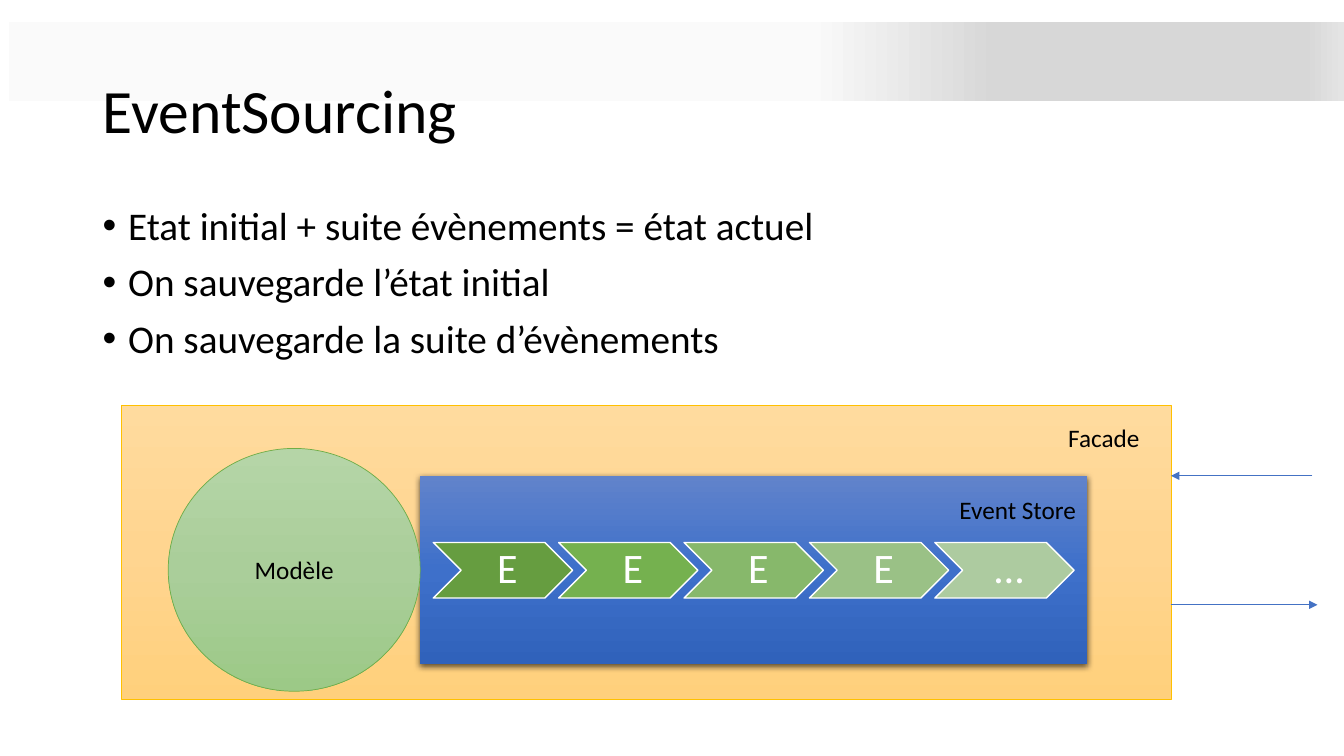
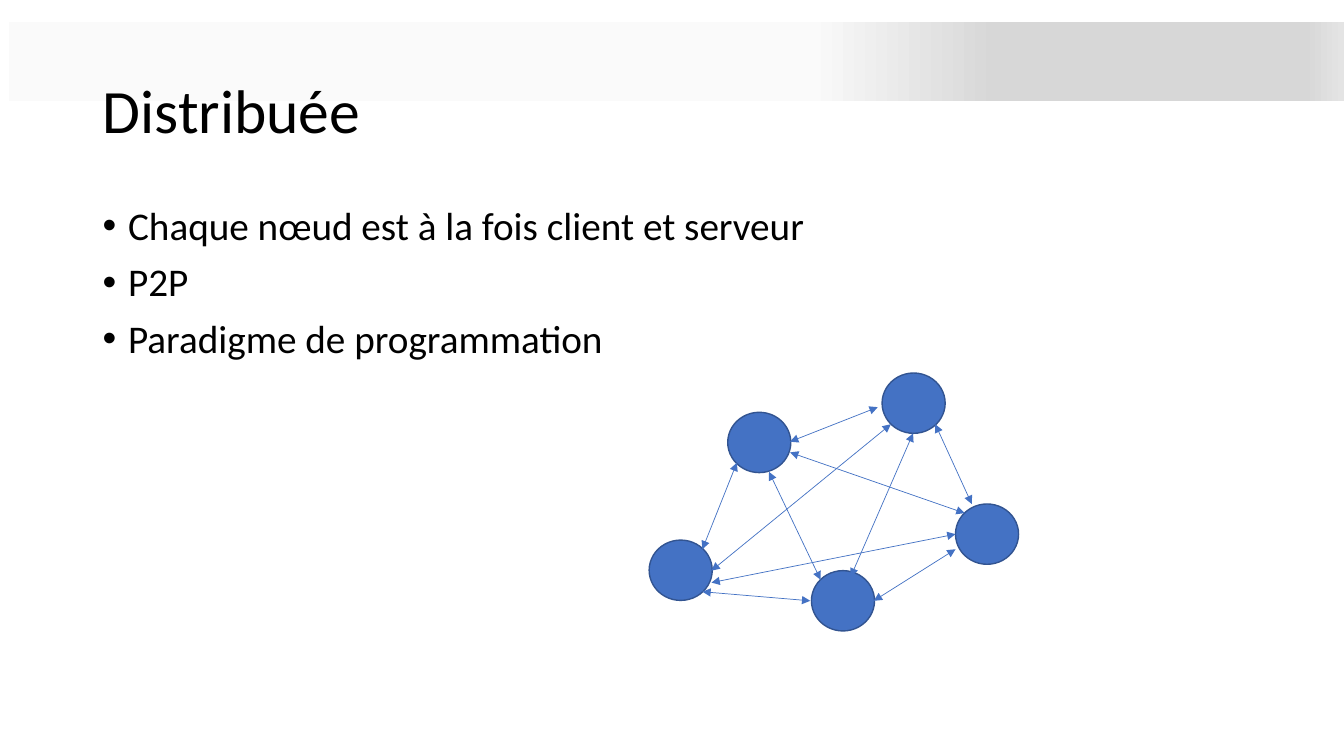
from lxml.etree import SubElement
from pptx import Presentation
from pptx.dml.color import RGBColor
from pptx.enum.shapes import MSO_CONNECTOR as Connector, MSO_SHAPE as Shape
from pptx.enum.text import MSO_ANCHOR as Anchor, PP_ALIGN as Align
from pptx.oxml.ns import qn
from pptx.util import Cm, Pt

FONT = "Calibri"
BLACK = RGBColor(0x00, 0x00, 0x00)
WHITE = RGBColor(0xFF, 0xFF, 0xFF)
BLUE = RGBColor(0x44, 0x72, 0xC4)
DARK_BLUE = RGBColor(0x32, 0x54, 0x91)
GOLD = RGBColor(0xFF, 0xC0, 0x00)
GREEN = RGBColor(0x70, 0xAD, 0x47)
PALE_GREY = RGBColor(0xFA, 0xFA, 0xFA)
MID_GREY = RGBColor(0xD7, 0xD7, 0xD7)
LIGHT_GREY = RGBColor(0xE4, 0xE4, 0xE4)

BAND_STOPS = [(60, PALE_GREY), (74, MID_GREY), (97, MID_GREY), (100, LIGHT_GREY)]
FACADE_STOPS = [
    (0, RGBColor(0xFF, 0xDB, 0x9E)),
    (50, RGBColor(0xFF, 0xD5, 0x90)),
    (100, RGBColor(0xFF, 0xD0, 0x7C)),
]
STORE_STOPS = [
    (0, RGBColor(0x61, 0x83, 0xCB)),
    (50, RGBColor(0x3E, 0x70, 0xCA)),
    (100, RGBColor(0x30, 0x62, 0xBB)),
]
MODEL_STOPS = [
    (0, RGBColor(0xB5, 0xD5, 0xA7)),
    (50, RGBColor(0xAA, 0xCE, 0x9A)),
    (100, RGBColor(0x9C, 0xC9, 0x87)),
]

SOURCING_TITLE = "EventSourcing"
SOURCING_POINTS = [
    "Etat initial + suite évènements = état actuel",
    "On sauvegarde l’état initial",
    "On sauvegarde la suite d’évènements",
]
EVENTS = [
    ("E", RGBColor(0x66, 0x9D, 0x40)),
    ("E", RGBColor(0x75, 0xB1, 0x4F)),
    ("E", RGBColor(0x87, 0xB8, 0x6B)),
    ("E", RGBColor(0x9A, 0xC1, 0x86)),
    ("…", RGBColor(0xAD, 0xCB, 0xA0)),
]
EVENT_LEFT, EVENT_TOP, EVENT_PITCH = 10.92, 13.67, 3.16
LABELS = [
    ("Event Store", (23.93, 12.32, 3.48, 1.02)),
    ("Facade", (26.67, 10.52, 2.34, 1.02)),
]
FACADE_ARROWS = [((33.07, 11.99), (29.51, 11.99)), ((29.51, 15.24), (33.2, 15.24))]

NETWORK_TITLE = "Distribuée"
NETWORK_POINTS = [
    "Chaque nœud est à la fois client et serveur",
    "P2P",
    "Paradigme de programmation",
]
NODE_SIZE = (1.59, 1.52)
NODES = [(18.34, 10.39), (22.23, 9.4), (24.08, 12.7), (20.45, 14.38), (16.36, 13.61)]
LINKS = [
    ((19.91, 11.13), (22.12, 10.26)),
    ((23.57, 10.69), (24.49, 12.7)),
    ((18.57, 11.66), (17.7, 13.84)),
    ((17.7, 14.91), (20.42, 15.14)),
    ((22.02, 15.14), (24.08, 13.84)),
    ((23.01, 10.92), (21.44, 14.53)),
    ((19.38, 11.89), (20.68, 14.61)),
    ((17.93, 14.38), (22.45, 10.69)),
    ((17.93, 14.68), (24.08, 13.46)),
    ((24.31, 12.93), (19.91, 11.4)),
]


def set_font(paragraph, size, color=BLACK):
    font = paragraph.font
    font.name, font.size = FONT, Pt(size)
    font.color.rgb = color


def set_gradient(shape, stops, angle):
    shape.fill.gradient()
    gradient = shape.element.spPr.find(qn("a:gradFill"))
    gradient.find(qn("a:lin")).set("ang", str(angle * 60000))
    stop_list = gradient.find(qn("a:gsLst"))
    for old_stop in list(stop_list):
        stop_list.remove(old_stop)
    for position, color in stops:
        stop = SubElement(stop_list, qn("a:gs"), pos=str(position * 1000))
        SubElement(stop, qn("a:srgbClr"), val=str(color))


def add_figure(slide, kind, box, fill, line=None, width=0.5, angle=90):
    figure = slide.shapes.add_shape(kind, *map(Cm, box))
    figure.shadow.inherit = False
    if isinstance(fill, RGBColor):
        figure.fill.solid()
        figure.fill.fore_color.rgb = fill
    else:
        set_gradient(figure, fill, angle)
    if line is None:
        figure.line.fill.background()
    else:
        figure.line.color.rgb = line
        figure.line.width = Pt(width)
    return figure


def cast_shadow(shape):
    effects = shape.element.spPr.find(qn("a:effectLst"))
    shadow = SubElement(effects, qn("a:outerShdw"), blurRad=str(Pt(4.5)),
                        dist=str(Pt(1.5)), dir="5400000", algn="ctr", rotWithShape="0")
    color = SubElement(shadow, qn("a:srgbClr"), val=str(BLACK))
    SubElement(color, qn("a:alpha"), val="63000")


def write_centred(shape, text, size, color=BLACK):
    frame = shape.text_frame
    frame.vertical_anchor = Anchor.MIDDLE
    paragraph = frame.paragraphs[0]
    paragraph.text = text
    paragraph.alignment = Align.CENTER
    set_font(paragraph, size, color)
    return frame


def add_text(slide, box, text, size, wrap=True):
    frame = slide.shapes.add_textbox(*map(Cm, box)).text_frame
    frame.word_wrap = wrap
    frame.text = text
    for paragraph in frame.paragraphs:
        set_font(paragraph, size)
    return frame


def add_arrow(slide, start, end, ends=("tailEnd",)):
    arrow = slide.shapes.add_connector(Connector.STRAIGHT, *map(Cm, start + end))
    arrow.line.color.rgb = BLUE
    arrow.line.width = Pt(0.5)
    properties = arrow.element.spPr
    for tip in ends:
        SubElement(properties.find(qn("a:ln")), qn(f"a:{tip}"), type="triangle")
    SubElement(properties, qn("a:effectLst"))


def add_bullets(slide, points):
    frame = slide.shapes.add_textbox(Cm(2.34), Cm(5.08), Cm(29.21), Cm(12.09)).text_frame
    frame.word_wrap = True
    frame.text = "\n".join(points)
    for index, paragraph in enumerate(frame.paragraphs):
        properties = paragraph._p.get_or_add_pPr()
        properties.set("marL", str(Cm(0.64)))
        properties.set("indent", str(-Cm(0.64)))
        SubElement(properties, qn("a:buFont"), typeface="Arial")
        SubElement(properties, qn("a:buChar"), char="•")
        paragraph.line_spacing = 0.9
        if index:
            paragraph.space_before = Pt(10)
        set_font(paragraph, 28)


def add_base(deck, title, points):
    slide = deck.slides.add_slide(deck.slide_layouts[6])
    add_figure(slide, Shape.RECTANGLE, (0.23, 0.56, 33.64, 1.98), BAND_STOPS, angle=0)
    heading = add_text(slide, (2.34, 1.02, 29.21, 3.68), title, 44)
    heading.vertical_anchor = Anchor.MIDDLE
    heading.paragraphs[0].line_spacing = 0.9
    add_bullets(slide, points)
    return slide


def build_sourcing(deck):
    slide = add_base(deck, SOURCING_TITLE, SOURCING_POINTS)
    add_figure(slide, Shape.RECTANGLE, (3.07, 10.21, 26.44, 7.42), FACADE_STOPS, GOLD)
    store = add_figure(slide, Shape.RECTANGLE, (10.59, 11.99, 16.81, 4.75), STORE_STOPS)
    cast_shadow(store)
    for index, (text, color) in enumerate(EVENTS):
        box = (EVENT_LEFT + index * EVENT_PITCH, EVENT_TOP, 3.51, 1.4)
        event = add_figure(slide, Shape.CHEVRON, box, color, WHITE, 1)
        frame = write_centred(event, text, 30, WHITE)
        frame.margin_left = Cm(0.33)
        frame.margin_right = frame.margin_top = frame.margin_bottom = Cm(0.1)
        frame.paragraphs[0].line_spacing = 0.9
    model = add_figure(slide, Shape.OVAL, (4.24, 11.3, 6.35, 6.12), MODEL_STOPS, GREEN)
    write_centred(model, "Modèle", 18)
    for text, box in LABELS:
        add_text(slide, box, text, 18, wrap=False)
    for start, end in FACADE_ARROWS:
        add_arrow(slide, start, end)


def build_network(deck):
    slide = add_base(deck, NETWORK_TITLE, NETWORK_POINTS)
    for corner in NODES:
        add_figure(slide, Shape.OVAL, corner + NODE_SIZE, BLUE, DARK_BLUE, 1)
    for start, end in LINKS:
        add_arrow(slide, start, end, ("headEnd", "tailEnd"))


def main():
    """Build the two slides on event sourcing and distribution."""
    deck = Presentation()
    deck.slide_width, deck.slide_height = Cm(33.87), Cm(19.05)
    build_sourcing(deck)
    build_network(deck)
    deck.save("out.pptx")


if __name__ == "__main__":
    main()
